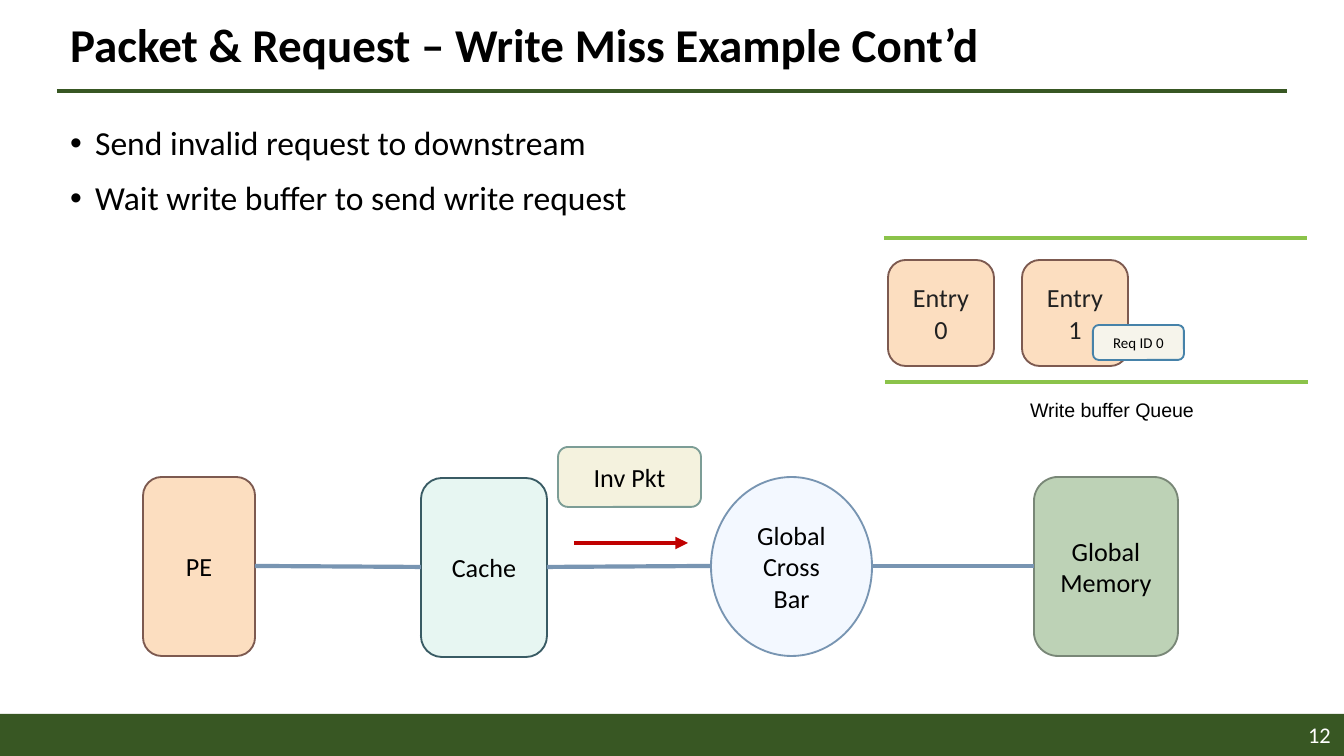
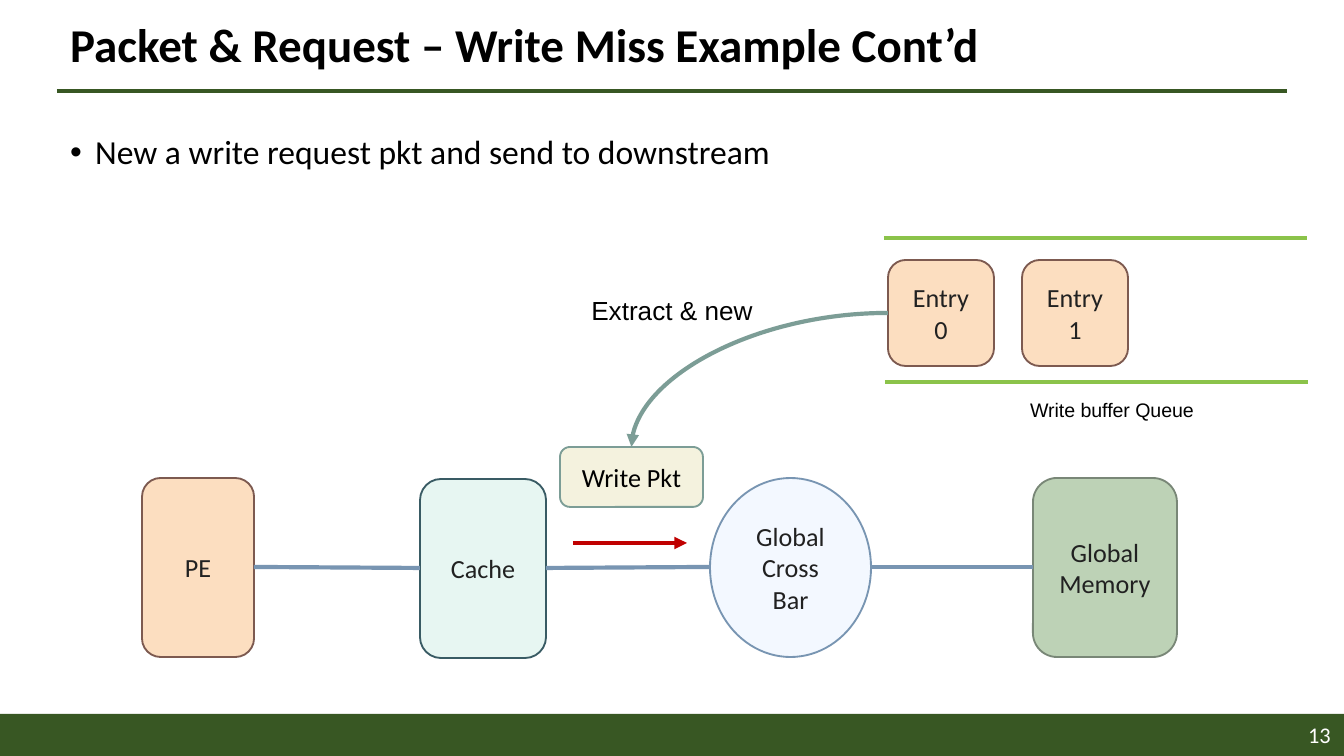
from dataclasses import dataclass
from itertools import pairwise

import pptx
import pptx.dml.color
import pptx.enum.shapes
import pptx.enum.text
import pptx.oxml
import pptx.oxml.ns
import pptx.presentation
import pptx.shapes.autoshape
import pptx.shapes.connector
import pptx.slide
import pptx.text.text
import pptx.util

SHAPE = pptx.enum.shapes.MSO_SHAPE
CONNECTOR = pptx.enum.shapes.MSO_CONNECTOR
ALIGN = pptx.enum.text.PP_ALIGN
ANCHOR = pptx.enum.text.MSO_ANCHOR

WIDTH, HEIGHT = 1344, 756
EMU_PER_PIXEL = 9144000 / WIDTH
INDENT = 25
HEADING = "Packet & Request – Write Miss Example Cont’d"

COLORS = {
    "theme": "385723",
    "black": "000000",
    "ink": "212121",
    "white": "FFFFFF",
    "queue": "8BC34A",
    "peach": "FCDEC0",
    "brown": "7D5A50",
    "mint": "E7F6F2",
    "teal": "395B64",
    "sage": "BDD2B6",
    "moss": "798777",
    "ice": "F3F8FF",
    "steel": "7895B2",
    "cream": "F4F2DE",
    "packet": "7C9D96",
    "paper": "F6F4EB",
    "blue": "4682A9",
    "red": "C00000",
}


@dataclass(frozen=True)
class Area:
    left: int
    top: int
    width: int
    height: int

    @property
    def right(self) -> int:
        return self.left + self.width

    @property
    def middle(self) -> int:
        return self.top + self.height // 2

    def moved(self, across: int, down: int) -> "Area":
        return Area(self.left + across, self.top + down, self.width, self.height)


@dataclass(frozen=True)
class TextStyle:
    size: float
    color: str = "black"
    font: str = "Calibri"
    bold: bool = False
    align: ALIGN = ALIGN.LEFT
    anchor: ANCHOR = ANCHOR.TOP
    line_spacing: float = 1.0
    space_before: float = 0
    bullet: bool = False
    grow: bool = False


@dataclass(frozen=True)
class Node:
    paragraphs: tuple[str, ...]
    area: Area
    fill: str
    outline: str
    kind: SHAPE = SHAPE.ROUNDED_RECTANGLE


TITLE = TextStyle(25.2, bold=True, anchor=ANCHOR.MIDDLE, line_spacing=0.9)
BODY = TextStyle(18, line_spacing=0.9, space_before=10, bullet=True)
PAGE_NUMBER = TextStyle(12, "white", align=ALIGN.RIGHT, anchor=ANCHOR.MIDDLE)
QUEUE_LABEL = TextStyle(10.5, font="Arial", grow=True)
CURVE_LABEL = TextStyle(14, font="Arial", grow=True)

PIPELINE = (
    Node(("PE",), Area(143, 477, 112, 179), "peach", "brown"),
    Node(("Cache",), Area(421, 478, 126, 179), "mint", "teal"),
    Node(("Global Cross Bar",), Area(711, 477, 161, 179), "ice", "steel", SHAPE.OVAL),
    Node(("Global Memory",), Area(1034, 477, 144, 179), "sage", "moss"),
)
ENTRY_AREA = Area(888, 260, 106, 106)
ENTRY_STEP = 134


def px(length: int) -> pptx.util.Emu:
    return pptx.util.Emu(round(length * EMU_PER_PIXEL))


def color_of(name: str) -> pptx.dml.color.RGBColor:
    return pptx.dml.color.RGBColor.from_string(COLORS[name])


def box(area: Area) -> tuple[pptx.util.Emu, ...]:
    return px(area.left), px(area.top), px(area.width), px(area.height)


def add_bullet(paragraph: pptx.text.text._Paragraph) -> None:
    properties = paragraph._p.get_or_add_pPr()
    properties.set("marL", str(px(INDENT)))
    properties.set("indent", str(-px(INDENT)))
    for tag, key, value in (("buFont", "typeface", "Arial"), ("buChar", "char", "•")):
        element = pptx.oxml.ns.qn(f"a:{tag}")
        properties.append(properties.makeelement(element, {key: value}))


def write(
    frame: pptx.text.text.TextFrame, paragraphs: tuple[str, ...], style: TextStyle
) -> None:
    frame.word_wrap = True
    frame.vertical_anchor = style.anchor
    if style.grow:
        frame.auto_size = pptx.enum.text.MSO_AUTO_SIZE.SHAPE_TO_FIT_TEXT
    for index, text in enumerate(paragraphs):
        paragraph = frame.add_paragraph() if index else frame.paragraphs[0]
        if style.bullet:
            add_bullet(paragraph)
        paragraph.alignment = style.align
        paragraph.line_spacing = style.line_spacing
        paragraph.space_before = pptx.util.Pt(style.space_before if index else 0)
        run = paragraph.add_run()
        run.text = text
        run.font.name = style.font
        run.font.size = pptx.util.Pt(style.size)
        run.font.bold = style.bold
        run.font.color.rgb = color_of(style.color)


def add_text(
    slide: pptx.slide.Slide, area: Area, paragraphs: tuple[str, ...], style: TextStyle
) -> None:
    write(slide.shapes.add_textbox(*box(area)).text_frame, paragraphs, style)


def add_node(
    slide: pptx.slide.Slide, node: Node, size: float = 14, color: str = "black"
) -> pptx.shapes.autoshape.Shape:
    shape = slide.shapes.add_shape(node.kind, *box(node.area))
    shape.shadow.inherit = False
    shape.fill.solid()
    shape.fill.fore_color.rgb = color_of(node.fill)
    shape.line.color.rgb = color_of(node.outline)
    shape.line.width = pptx.util.Pt(1)
    style = TextStyle(size, color, align=ALIGN.CENTER, anchor=ANCHOR.MIDDLE)
    write(shape.text_frame, node.paragraphs, style)
    return shape


def add_line(
    slide: pptx.slide.Slide,
    start: tuple[int, int],
    end: tuple[int, int],
    color: str,
    arrow: bool = False,
    kind: CONNECTOR = CONNECTOR.STRAIGHT,
) -> pptx.shapes.connector.Connector:
    points = [px(value) for value in (*start, *end)]
    connector = slide.shapes.add_connector(kind, *points)
    connector.line.color.rgb = color_of(color)
    connector.line.width = pptx.util.Pt(2.25)
    properties = connector._element.spPr
    if arrow:
        line = properties.find(pptx.oxml.ns.qn("a:ln"))
        tag = pptx.oxml.ns.qn("a:tailEnd")
        line.append(line.makeelement(tag, {"type": "triangle"}))
    properties.append(properties.makeelement(pptx.oxml.ns.qn("a:effectLst"), {}))
    return connector


def add_base(presentation: pptx.presentation.Presentation, page: int) -> pptx.slide.Slide:
    slide = presentation.slides.add_slide(presentation.slide_layouts[6])
    band = slide.shapes.add_shape(SHAPE.RECTANGLE, *box(Area(0, 714, WIDTH, 42)))
    band.shadow.inherit = False
    band.fill.solid()
    band.fill.fore_color.rgb = color_of("theme")
    band.line.fill.background()
    add_line(slide, (57, 91), (1287, 91), "theme")
    add_text(slide, Area(57, 15, 1230, 64), (HEADING,), TITLE)
    add_text(slide, Area(1042, 714, 302, 41), (str(page),), PAGE_NUMBER)
    return slide


def add_queue(slide: pptx.slide.Slide) -> list[pptx.shapes.autoshape.Shape]:
    for left, top in ((884, 238), (885, 382)):
        add_line(slide, (left, top), (left + 423, top), "queue")
    add_text(slide, Area(1017, 391, 218, 38), ("Write buffer Queue",), QUEUE_LABEL)
    entries = []
    for index in range(2):
        area = ENTRY_AREA.moved(index * ENTRY_STEP, 0)
        entry = Node(("Entry", str(index)), area, "peach", "brown")
        entries.append(add_node(slide, entry, color="ink"))
    return entries


def add_pipeline(
    slide: pptx.slide.Slide, across: int, down: int, color: str
) -> None:
    for node in PIPELINE:
        area = node.area.moved(across, down)
        moved = Node(node.paragraphs, area, node.fill, node.outline, node.kind)
        add_node(slide, moved, color=color)
    areas = [node.area.moved(across, down) for node in PIPELINE]
    for before, after in pairwise(areas):
        start, end = (before.right, before.middle), (after.left, after.middle)
        add_line(slide, start, end, "steel")
    add_line(slide, (574 + across, 543), (688 + across, 543), "red", arrow=True)


def add_packet(
    slide: pptx.slide.Slide, text: str, left: int
) -> pptx.shapes.autoshape.Shape:
    area = Area(left, 447, 143, 60)
    return add_node(slide, Node((text,), area, "cream", "packet"))


def build_invalidate(presentation: pptx.presentation.Presentation) -> None:
    slide = add_base(presentation, 12)
    points = (
        "Send invalid request to downstream",
        "Wait write buffer to send write request",
    )
    add_text(slide, Area(57, 120, 1230, 167), points, BODY)
    add_queue(slide)
    add_pipeline(slide, 0, 0, "black")
    add_packet(slide, "Inv Pkt", 558)
    request = Node(("Req ID 0",), Area(1093, 325, 91, 35), "paper", "blue")
    add_node(slide, request, size=8)


def build_write(presentation: pptx.presentation.Presentation) -> None:
    slide = add_base(presentation, 13)
    points = ("New a write request pkt and send to downstream",)
    add_text(slide, Area(57, 129, 1179, 179), points, BODY)
    entries = add_queue(slide)
    add_pipeline(slide, -1, 1, "ink")
    packet = add_packet(slide, "Write Pkt", 560)
    curve = add_line(
        slide, (888, 312), (632, 447), "packet", arrow=True, kind=CONNECTOR.CURVE
    )
    geometry = curve._element.spPr.find(pptx.oxml.ns.qn("a:prstGeom"))
    geometry.set("prst", "curvedConnector2")
    curve.begin_connect(entries[0], 1)
    curve.end_connect(packet, 0)
    add_text(slide, Area(578, 288, 206, 46), ("Extract & new",), CURVE_LABEL)


def main() -> None:
    presentation = pptx.Presentation()
    presentation.slide_width = px(WIDTH)
    presentation.slide_height = px(HEIGHT)
    build_invalidate(presentation)
    build_write(presentation)
    presentation.save("out.pptx")


if __name__ == "__main__":
    main()
